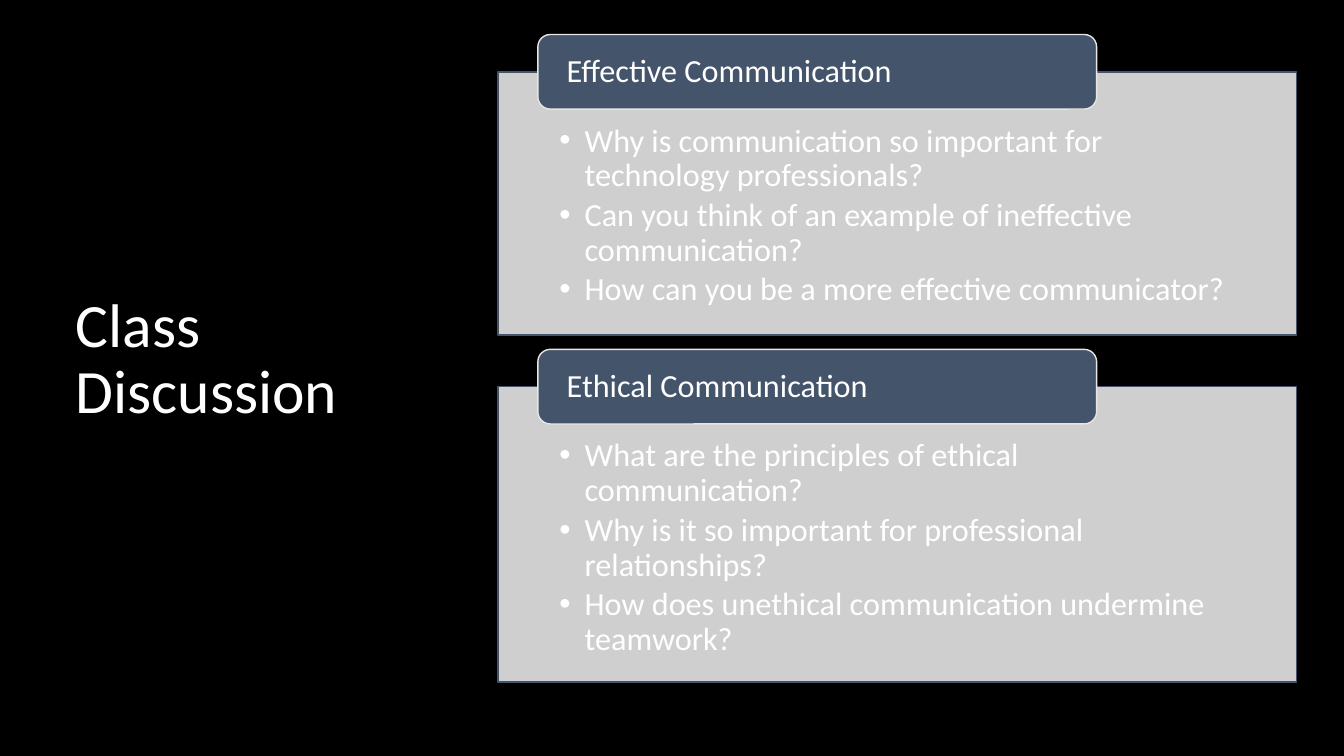
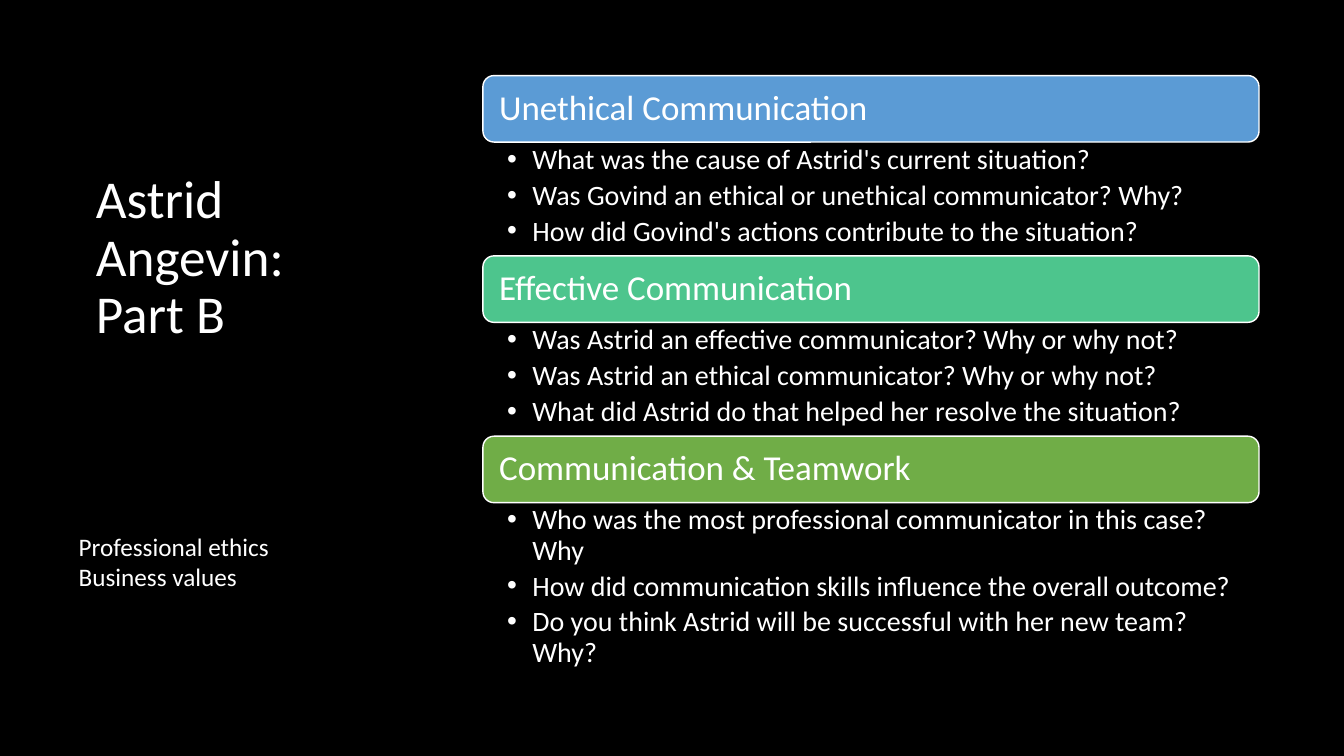
"""Build two discussion slides with headed question lists on black."""
from dataclasses import dataclass
from lxml.etree import SubElement
from pptx import Presentation
from pptx.dml.color import RGBColor as Rgb
from pptx.enum.shapes import MSO_SHAPE as Preset
from pptx.enum.text import MSO_ANCHOR as Anchor, MSO_AUTO_SIZE as AutoSize, PP_ALIGN as Align
from pptx.oxml.ns import qn
from pptx.util import Inches, Pt


@dataclass(frozen=True)
class Theme:
    font: str = "Calibri"
    black: Rgb = Rgb(0x00, 0x00, 0x00)
    white: Rgb = Rgb(0xFF, 0xFF, 0xFF)
    slate: Rgb = Rgb(0x44, 0x54, 0x6A)
    pale: Rgb = Rgb(0xE7, 0xE6, 0xE6)
    blue: Rgb = Rgb(0x5B, 0x9B, 0xD5)
    mint: Rgb = Rgb(0x4D, 0xC5, 0x8D)
    green: Rgb = Rgb(0x70, 0xAD, 0x47)
    title: int = 44
    long_title: int = 38
    band: int = 25
    panel: int = 23
    question: int = 20
    note: int = 18


theme = Theme()
deck = Presentation()
deck.slide_width, deck.slide_height = Inches(13.33), Inches(7.5)
backdrop = deck.slide_master.background.fill
backdrop.solid()
backdrop.fore_color.rgb = theme.black


def place(shape, left, top, width, height, fill=None, line=None):
    """Set a shape's box in percent of the slide, with its fill and line."""
    box = {
        "left": int(deck.slide_width * left / 100),
        "top": int(deck.slide_height * top / 100),
        "width": int(deck.slide_width * width / 100),
        "height": int(deck.slide_height * height / 100),
    }
    for name, value in box.items():
        setattr(shape, name, value)
    if fill is not None:
        shape.fill.solid()
        shape.fill.fore_color.rgb = fill
        shape.line.color.rgb = line
        shape.line.width = Pt(1)


def write(shape, lines, size, insets=(0.1, 0.05, 0.1, 0.05), anchor=Anchor.MIDDLE,
          bullet=False, spacing=0.9, gap=0, wrap=True):
    """Write one paragraph a line, with gap as a share of the type size."""
    frame = shape.text_frame
    frame_format = {"auto_size": AutoSize.NONE, "word_wrap": wrap, "vertical_anchor": anchor}
    sides = ("margin_left", "margin_top", "margin_right", "margin_bottom")
    frame_format.update(zip(sides, map(Inches, insets)))
    for name, value in frame_format.items():
        setattr(frame, name, value)
    para_format = {"alignment": Align.LEFT, "line_spacing": spacing,
                   "space_before": Pt(0), "space_after": Pt(size * gap)}
    font_format = {"name": theme.font, "size": Pt(size), "bold": False}
    for index, line in enumerate(lines):
        para = frame.add_paragraph() if index else frame.paragraphs[0]
        props = para._p.get_or_add_pPr()
        indent = Inches(0.25) if bullet else 0
        props.set("marL", str(indent))
        props.set("indent", str(-indent))
        if bullet:
            SubElement(props, qn("a:buChar"), char="•")
        else:
            SubElement(props, qn("a:buNone"))
        for name, value in para_format.items():
            setattr(para, name, value)
        span = para.add_run()
        span.text = line
        for name, value in font_format.items():
            setattr(span.font, name, value)
        span.font.color.rgb = theme.white


page = deck.slides.add_slide(deck.slide_layouts[3])
title, *bodies = page.placeholders
place(title, 4.88, 9.33, 25.95, 76.67)
write(title, ["Class Discussion"], theme.title)

panels = [
    ("Effective Communication", 34.8, [
        "Why is communication so important for technology professionals?",
        "Can you think of an example of ineffective communication?",
        "How can you be a more effective communicator?"]),
    ("Ethical Communication", 39.07, [
        "What are the principles of ethical communication?",
        "Why is it so important for professional relationships?",
        "How does unethical communication undermine teamwork?"]),
]
left, top, width, panel_gap, tab_height = 37.05, 9.5, 59.4, 6.85, 9.87
for body, (heading, height, questions) in zip(bodies, panels):
    place(body, left, top, width, height, theme.pale, theme.slate)
    tint = body.element.spPr.find(".//" + qn("a:srgbClr"))
    SubElement(tint, qn("a:alpha"), val="90000")
    write(body, questions, theme.panel, (0.61, 0.52, 0.61, 0.18), Anchor.TOP,
          bullet=True, gap=0.15)
    tab = page.shapes.add_shape(Preset.ROUNDED_RECTANGLE, 0, 0, 0, 0)
    tab.shadow.inherit = False
    place(tab, left + width * 0.05, top - tab_height / 2, width * 0.7, tab_height,
          theme.slate, theme.pale)
    write(tab, [heading], theme.panel, (0.25, 0, 0.25, 0))
    top += height + panel_gap

page = deck.slides.add_slide(deck.slide_layouts[4])
title, *bodies, note = page.placeholders
place(title, 6.38, 10.67, 23.33, 47.2)
write(title, ["Astrid Angevin:", "Part B"], theme.long_title)
place(note, 5.1, 69.6, 15.83, 9.5)
write(note, ["Professional ethics", "Business values"], theme.note,
      anchor=Anchor.TOP, spacing=1.0, wrap=False)

sections = [
    ("Unethical Communication", theme.blue, 15.05, [
        "What was the cause of Astrid's current situation?",
        "Was Govind an ethical or unethical communicator? Why?",
        "How did Govind's actions contribute to the situation?"]),
    ("Effective Communication", theme.mint, 15.05, [
        "Was Astrid an effective communicator? Why or why not?",
        "Was Astrid an ethical communicator? Why or why not?",
        "What did Astrid do that helped her resolve the situation?"]),
    ("Communication & Teamwork", theme.green, 23.35, [
        "Who was the most professional communicator in this case? Why",
        "How did communication skills influence the overall outcome?",
        "Do you think Astrid will be successful with her new team? Why?"]),
]
left, top, width, band_height = 35.93, 10, 57.75, 8.8
for body, (heading, colour, height, questions) in zip(bodies, sections):
    band = page.shapes.add_shape(Preset.ROUNDED_RECTANGLE, 0, 0, 0, 0)
    band.shadow.inherit = False
    place(band, left, top, width, band_height, colour, theme.white)
    write(band, [heading], theme.band, (0.13, 0.1, 0.13, 0.1))
    place(body, left, top + band_height, width, height)
    write(body, questions, theme.question, (0.24, 0.03, 0.19, 0.03), Anchor.TOP,
          bullet=True, gap=0.2)
    top += band_height + height

deck.save("out.pptx")
